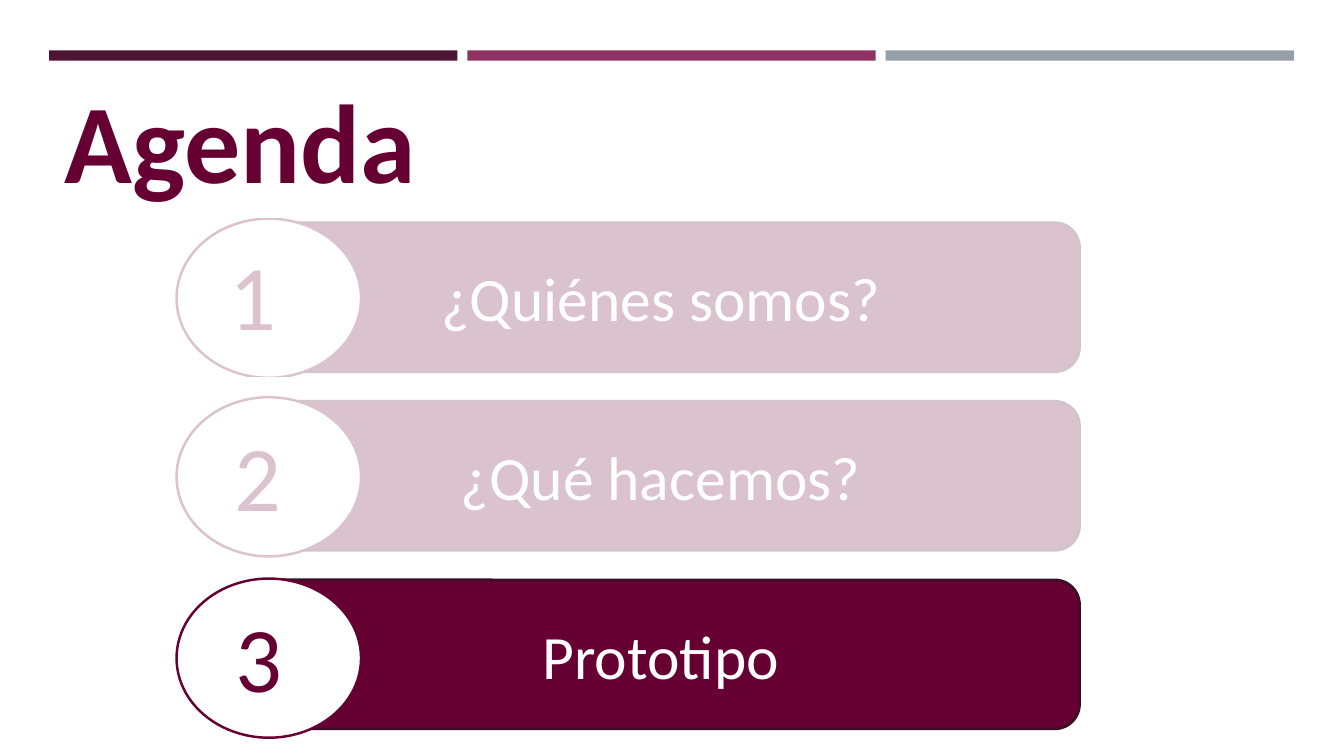
from pptx import Presentation
from pptx.dml.color import RGBColor
from pptx.enum.shapes import MSO_SHAPE
from pptx.enum.text import MSO_ANCHOR, MSO_AUTO_SIZE, PP_ALIGN
from pptx.oxml.ns import qn
from pptx.util import Cm, Pt
from lxml import etree

RECT = MSO_SHAPE.RECTANGLE
ROUNDED = MSO_SHAPE.ROUNDED_RECTANGLE
OVAL = MSO_SHAPE.OVAL
TOP, MIDDLE = MSO_ANCHOR.TOP, MSO_ANCHOR.MIDDLE
LEFT, CENTER = PP_ALIGN.LEFT, PP_ALIGN.CENTER
NO_FIT = MSO_AUTO_SIZE.NONE
TITLE_ONLY = 5

FONT = "Calibri"
WINE, DARK_WINE, WHITE = "660033", "390F26", "FFFFFF"
STRIPES = ["4D1434", "903163", "969FA7"]
SLIDE_WIDTH = 33.87

# label, circle top, number left, number top
TOPICS = [
    ("¿Quiénes somos?", 5.51, 5.54, 5.87),
    ("¿Qué hacemos?", 10.01, 5.66, 10.44),
    ("Prototipo", 14.58, 5.69, 14.99),
]
VEILS = [(9.53, 4.93), (5.46, 4.39)]


def colour(value):
    return RGBColor.from_string(value)


def write(shape, text, size, text_colour, align, anchor, bold=False):
    frame = shape.text_frame
    frame.text = text
    frame.word_wrap = True
    frame.auto_size = NO_FIT
    frame.vertical_anchor = anchor
    para = frame.paragraphs[0]
    para.alignment = align
    font = para.runs[0].font
    font.name = FONT
    font.size = Pt(size)
    font.bold = bold
    font.color.rgb = colour(text_colour)


def add_figure(page, kind, left, top, width, height, fill, line=None):
    shape = page.shapes.add_shape(kind, Cm(left), Cm(top), Cm(width), Cm(height))
    shape.shadow.inherit = False
    shape.fill.solid()
    shape.fill.fore_color.rgb = colour(fill)
    if line:
        shape.line.color.rgb = colour(line)
        shape.line.width = Pt(1.75)
    else:
        shape.line.fill.background()
    return shape


def add_title(page, text):
    title = page.shapes.title
    title.left, title.top = Cm(-0.43), Cm(1.68)
    title.width, title.height = Cm(13), Cm(3.68)
    write(title, text, 80, WINE, CENTER, TOP, bold=True)


def add_number(page, number, left, top):
    box = page.shapes.add_textbox(Cm(left), Cm(top), Cm(2.49), Cm(3.07))
    write(box, str(number), 66, WINE, LEFT, TOP)


def add_veil(page, top, height):
    veil = add_figure(page, RECT, 0, top, SLIDE_WIDTH, height, WHITE, WHITE)
    fill_colour = veil.fill._xPr.find(qn("a:solidFill"))[0]
    etree.SubElement(fill_colour, qn("a:alpha")).set("val", "76000")


def main():
    deck = Presentation()
    deck.slide_width, deck.slide_height = Cm(SLIDE_WIDTH), Cm(19.05)
    page = deck.slides.add_slide(deck.slide_layouts[TITLE_ONLY])

    for index, stripe in enumerate(STRIPES):
        add_figure(page, RECT, 1.24 + index * 10.54, 1.27, 10.29, 0.26, stripe)
    add_title(page, "Agenda")

    for index, (label, circle_top, number_left, number_top) in enumerate(TOPICS):
        bar = add_figure(page, ROUNDED, 6.1, 5.61 + index * 4.5, 21.11, 3.76,
                         WINE, DARK_WINE)
        write(bar, label, 44, WHITE, CENTER, MIDDLE)
        add_figure(page, OVAL, 4.45, circle_top, 4.65, 4.01, WHITE, WINE)
        add_number(page, index + 1, number_left, number_top)

    for top, height in VEILS:
        add_veil(page, top, height)

    deck.save("out.pptx")


if __name__ == "__main__":
    main()
